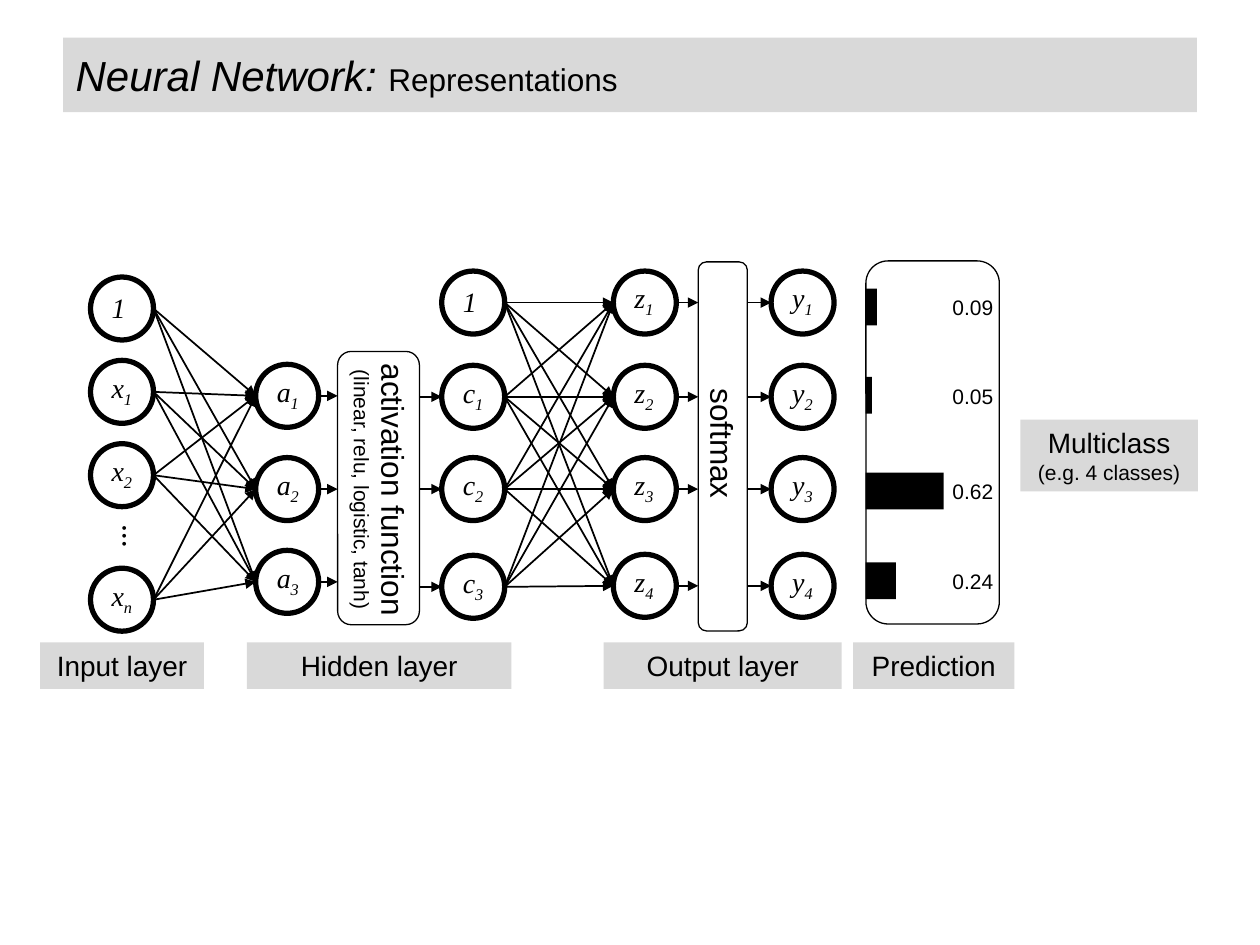
from itertools import product

from lxml import etree
from pptx import Presentation
from pptx.dml.color import RGBColor
from pptx.enum import shapes, text
from pptx.oxml.ns import qn
from pptx.util import Cm, Pt

BLACK, GREY = "000000", "D9D9D9"
SANS, SERIF = "Arial", "Times New Roman"
NODE = 1.27
LEFT, CENTER = text.PP_ALIGN.LEFT, text.PP_ALIGN.CENTER
RECT, ROUND, OVAL = (shapes.MSO_SHAPE.RECTANGLE, shapes.MSO_SHAPE.ROUNDED_RECTANGLE,
                     shapes.MSO_SHAPE.OVAL)

# Lengths are in centimetres. A layer is: centre x, [(symbol, subscript, centre y)]
LAYERS = {
    "input": (2.46, [("1", "", 6.22), ("x", "1", 7.9), ("x", "2", 9.58), ("x", "n", 12.09)]),
    "hidden": (5.79, [("a", "1", 7.98), ("a", "2", 9.86), ("a", "3", 11.73)]),
    "activated": (9.54, [("1", "", 6.1), ("c", "1", 8.0), ("c", "2", 9.86), ("c", "3", 11.83)]),
}
OUTPUT_ROWS = [6.1, 8.0, 9.86, 11.81]
for layer, symbol, x in [("score", "z", 13.0), ("output", "y", 16.18)]:
    LAYERS[layer] = (x, [(symbol, str(i), y) for i, y in enumerate(OUTPUT_ROWS, 1)])

FULL_LINKS = [("input", "hidden"), ("activated", "score")]

# Upright panels: centre x, centre y, width, height
ACTIVATION = (7.63, 9.84, 1.65, 5.51)
SOFTMAX = (14.57, 9.0, 0.99, 7.44)
PREDICTION = (18.8, 8.92, 2.69, 7.32)

# Sideways texts: centre x, centre y, width, height, wrap, alignment, lines
SIDEWAYS = [
    (7.67, 9.87, 5.64, 1.55, False, CENTER,
     [("activation function", 18, SANS), ("(linear, relu, logistic, tanh)", 12, SANS)]),
    (14.57, 8.94, 3.53, 1.02, True, CENTER, [("softmax", 18, SANS)]),
    (2.72, 10.69, 0.71, 1.02, True, LEFT, [("…", 18, "Calibri")]),
]

PROBABILITIES = [(0.09, 5.82), (0.05, 7.6), (0.62, 9.53), (0.24, 11.34)]
BAR_LEFT, BAR_UNIT, BAR_HEIGHT = 17.45, 2.54, 0.74

# Grey tags: left, top, width, height, lines
TAGS = [
    (0.81, 12.95, 3.3, 0.94, [("Input layer", 16, SANS)]),
    (4.98, 12.95, 5.33, 0.94, [("Hidden layer", 16, SANS)]),
    (12.17, 12.95, 4.8, 0.94, [("Output layer", 16, SANS)]),
    (17.2, 12.95, 3.25, 0.94, [("Prediction", 16, SANS)]),
    (20.57, 8.46, 3.58, 1.45, [("Multiclass", 16, SANS), ("(e.g. 4 classes)", 12, SANS)]),
]
TITLE = [("Neural Network: ", 24, True), ("Representations", 18, False)]


def paint(target, color):
    target.solid()
    target.fore_color.rgb = RGBColor.from_string(color)


def add_run(paragraph, words, size, font=SANS, italic=False):
    run = paragraph.add_run()
    run.text = words
    run.font.size, run.font.name, run.font.italic = Pt(size), font, italic
    run.font.color.rgb = RGBColor.from_string(BLACK)
    return run


def write_lines(frame, lines, align=LEFT, wrap=True):
    frame.word_wrap = wrap
    frame.vertical_anchor = text.MSO_ANCHOR.TOP
    for i, (words, size, font) in enumerate(lines):
        paragraph = frame.add_paragraph() if i else frame.paragraphs[0]
        paragraph.alignment = align
        add_run(paragraph, words, size, font)


def add_box(kind, left, top, width, height, fill=None, line=None):
    """Add a preset shape; line is its outline width in points."""
    box = slide.shapes.add_shape(kind, Cm(left), Cm(top), Cm(width), Cm(height))
    box.shadow.inherit = False
    if fill:
        paint(box.fill, fill)
    else:
        box.fill.background()
    if line:
        paint(box.line.fill, BLACK)
        box.line.width = Pt(line)
    else:
        box.line.fill.background()
    return box


def add_text(left, top, width, height):
    return slide.shapes.add_textbox(Cm(left), Cm(top), Cm(width), Cm(height))


def add_arrow(x1, y1, x2, y2):
    arrow = slide.shapes.add_connector(shapes.MSO_CONNECTOR.STRAIGHT,
                                       Cm(x1), Cm(y1), Cm(x2), Cm(y2))
    paint(arrow.line.fill, BLACK)
    arrow.line.width = Pt(1)
    etree.SubElement(arrow.line._get_or_add_ln(), qn("a:tailEnd"), type="triangle")
    etree.SubElement(arrow._element.spPr, qn("a:effectLst"))


def add_node(x, y, symbol, subscript):
    add_box(OVAL, x - NODE / 2, y - NODE / 2, NODE, NODE, line=3)
    label = add_text(x - 0.46, y - (0.56 if subscript else 0.48), 1.24, 0.94)
    label.text_frame.word_wrap = True
    paragraph = label.text_frame.paragraphs[0]
    add_run(paragraph, symbol, 16, SERIF, True)
    if subscript:
        run = add_run(paragraph, subscript, 16, SERIF, True)
        run.font._element.set("baseline", "-25000")


def link_panel(panel, before, after):
    """Draw arrows from one layer into a panel and on to the next layer."""
    x, _, width, _ = panel
    for layer, into in [(before, True), (after, False)]:
        node_x, nodes = LAYERS[layer]
        for symbol, _, y in nodes:
            if symbol == "1":  # the bias has no incoming arrow
                continue
            if into:
                add_arrow(node_x + NODE / 2, y, x - width / 2, y)
            else:
                add_arrow(x + width / 2, y, node_x - NODE / 2, y)


prs = Presentation()
prs.slide_width, prs.slide_height = Cm(25.4), Cm(19.05)
slide = prs.slides.add_slide(prs.slide_layouts[5])

title = slide.shapes.title
title.left, title.top, title.width, title.height = Cm(1.27), Cm(0.76), Cm(22.86), Cm(1.5)
paint(title.fill, GREY)
title.text_frame.vertical_anchor = text.MSO_ANCHOR.MIDDLE
title.text_frame.paragraphs[0].alignment = LEFT
for words, size, italic in TITLE:
    add_run(title.text_frame.paragraphs[0], words, size, italic=italic)

for x, y, width, height in (ACTIVATION, SOFTMAX, PREDICTION):
    panel = add_box(ROUND, x - height / 2, y - width / 2, height, width, line=0.75)
    panel.rotation = 90

for x, y, width, height, wrap, align, lines in SIDEWAYS:
    caption = add_text(x - width / 2, y - height / 2, width, height)
    caption.rotation = 90
    write_lines(caption.text_frame, lines, align, wrap)

for x, nodes in LAYERS.values():
    for symbol, subscript, y in nodes:
        add_node(x, y, symbol, subscript)

for source, target in FULL_LINKS:
    (x1, sources), (x2, targets) = LAYERS[source], LAYERS[target]
    for (_, _, y1), (_, _, y2) in product(sources, targets):
        add_arrow(x1 + NODE / 2, y1, x2 - NODE / 2, y2)
link_panel(ACTIVATION, "hidden", "activated")
link_panel(SOFTMAX, "score", "output")

for value, top in PROBABILITIES:
    add_box(RECT, BAR_LEFT, top, value * BAR_UNIT, BAR_HEIGHT, fill=BLACK)
    write_lines(add_text(18.95, top, 1.5, 0.76).text_frame, [(f"{value:.2f}", 12, SANS)])

for left, top, width, height, lines in TAGS:
    tag = add_box(RECT, left, top, width, height, fill=GREY)
    write_lines(tag.text_frame, lines, CENTER)

prs.save("out.pptx")
